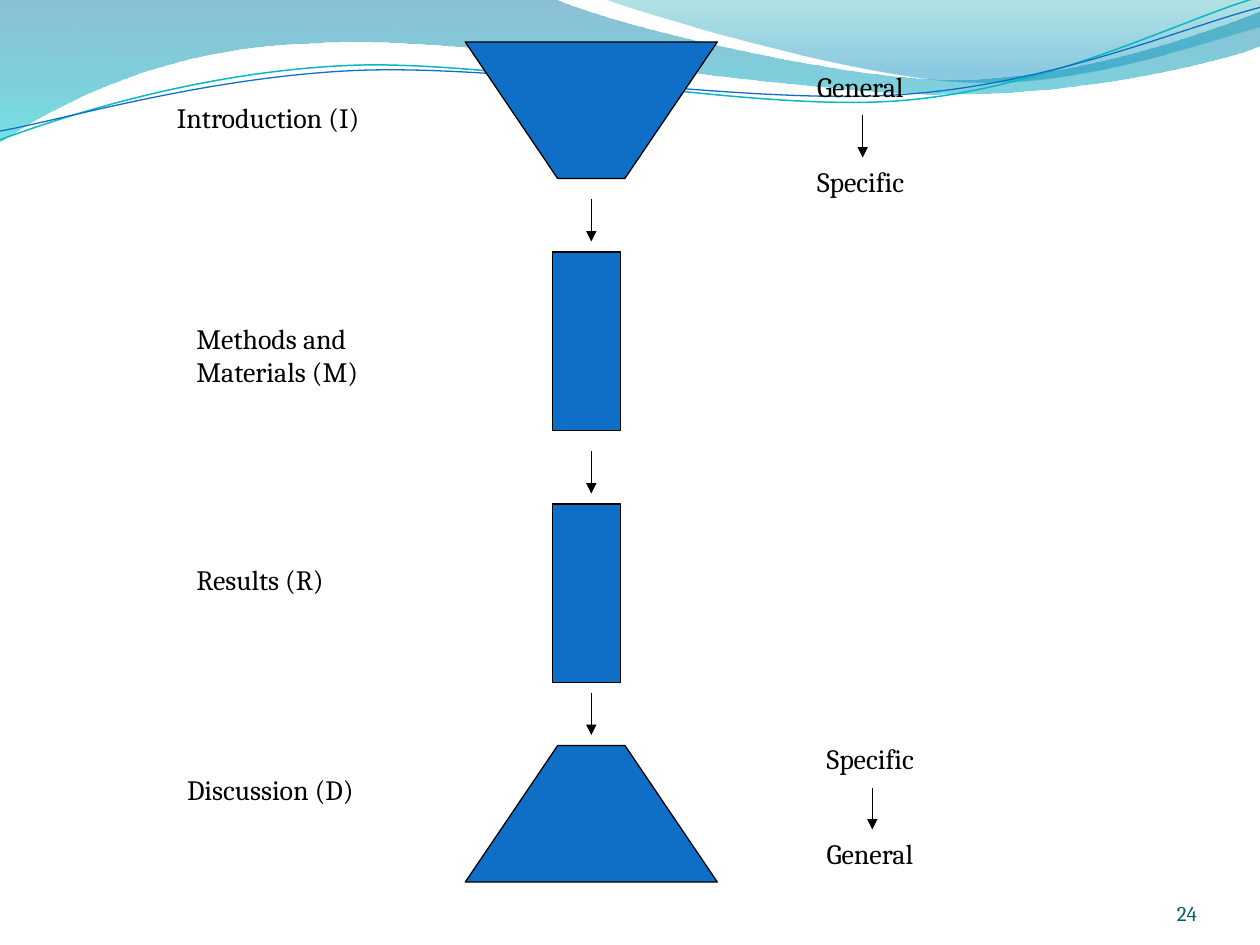
from dataclasses import dataclass
from math import cos, radians, sin

from lxml.etree import SubElement
from pptx import Presentation
from pptx.dml.color import RGBColor as RGB
from pptx.enum.shapes import MSO_CONNECTOR as Connector, MSO_SHAPE as Preset
from pptx.enum.text import MSO_ANCHOR as Anchor, PP_ALIGN as Align
from pptx.oxml.ns import qn
from pptx.util import Pt


@dataclass(frozen=True)
class Theme:
    font: str = "Cambria"
    body_size: float = 16
    number_size: float = 12
    ink: str = "000000"
    block: str = "0F6FC6"
    teal: str = "0AB8BF"
    number: str = "045D75"
    thin: float = 0.75
    wide_wave: tuple = ((0, "0074A1", 45), (1, "00C6CF", 55))
    corner_wave: tuple = ((0, "00A1A9", 30), (0.8, "008BBF", 45))


def write_text(frame, text, *, font, size, color, align=Align.LEFT, gap=0):
    frame.word_wrap = True
    for index, words in enumerate(text.split("\n")):
        paragraph = frame.paragraphs[0] if index == 0 else frame.add_paragraph()
        paragraph.text = words
        paragraph.alignment = align
        if index:
            paragraph.space_before = Pt(gap)
        paragraph.font.name = font
        paragraph.font.size = Pt(size)
        paragraph.font.color.rgb = RGB.from_string(color)


def turn(points, degrees):
    c, s = cos(radians(degrees)), sin(radians(degrees))
    return [(x * c - y * s, x * s + y * c) for x, y in points]


def unturn(points, degrees):
    """Give the points that land on these when their box is rotated about its centre."""
    level = turn(points, -degrees)
    center = tuple((min(axis) + max(axis)) / 2 for axis in zip(*level))
    (pivot_x, pivot_y), = turn([center], degrees)
    return [(x + pivot_x - center[0], y + pivot_y - center[1]) for x, y in level]


class SlideBuilder:
    def __init__(self, slide, theme):
        self.shapes = slide.shapes
        self.theme = theme

    def set_line(self, line, color, width):
        line.color.rgb = RGB.from_string(color)
        line.width = Pt(width)

    def outline(self, path, closed=True, rotation=0):
        """Draw parts of two numbers as straight lines and of six as cubic curves."""
        knots = [part[i:i + 2] for part in path for i in range(0, len(part), 2)]
        start, *rest = [(Pt(x), Pt(y)) for x, y in unturn(knots, rotation)]
        pen = self.shapes.build_freeform(*start, scale=1.0)
        pen.add_line_segments(rest, close=closed)
        figure = pen.convert_to_shape()
        figure.rotation = rotation
        figure.shadow.inherit = False
        segments = iter(list(figure.element.iter(qn("a:lnTo"))))
        for part in path[1:]:
            segment = next(segments)
            if len(part) == 6:
                curve = segment.makeelement(qn("a:cubicBezTo"))
                segment.addprevious(curve)
                for leg in (segment, next(segments), next(segments)):
                    curve.append(leg[0])
                    leg.getparent().remove(leg)
        return figure

    def wave(self, path, stops):
        band = self.outline(path)
        band.fill.gradient()
        band.fill.gradient_angle = 270
        for target, (position, color, _) in zip(band.fill.gradient_stops, stops):
            target.position = position
            target.color.rgb = RGB.from_string(color)
        colors = list(band.element.spPr.iter(qn("a:srgbClr")))
        for color, (_, _, opacity) in zip(colors, stops):
            SubElement(color, qn("a:alpha"), val=str(opacity * 1000))
        band.line.fill.background()

    def ripple(self, path, color, width):
        curve = self.outline(path, closed=False, rotation=357.3)
        curve.fill.background()
        self.set_line(curve.line, color, width)

    def paint_block(self, block):
        block.fill.solid()
        block.fill.fore_color.rgb = RGB.from_string(self.theme.block)
        self.set_line(block.line, self.theme.ink, self.theme.thin)

    def funnel(self, center, top, wide, narrow, height=78, rotation=0):
        bottom = top + height
        block = self.outline([
            (center - wide, top), (center - narrow, bottom),
            (center + narrow, bottom), (center + wide, top)])
        block.rotation = rotation
        self.paint_block(block)

    def column(self, left, top, width, height):
        block = self.shapes.add_shape(Preset.RECTANGLE, Pt(left), Pt(top), Pt(width), Pt(height))
        block.shadow.inherit = False
        self.paint_block(block)

    def arrow(self, x, top, length=24):
        link = self.shapes.add_connector(
            Connector.STRAIGHT, Pt(x), Pt(top), Pt(x), Pt(top + length))
        self.set_line(link.line, self.theme.ink, self.theme.thin)
        properties = link.element.spPr
        SubElement(properties.find(qn("a:ln")), qn("a:tailEnd"), type="triangle")
        SubElement(properties, qn("a:effectLst"))

    def label(self, text, left, top, width=127.5, height=26.5, gap=0):
        box = self.shapes.add_textbox(Pt(left), Pt(top), Pt(width), Pt(height))
        write_text(box.text_frame, text, font=self.theme.font,
                   size=self.theme.body_size, color=self.theme.ink, gap=gap)

    def scope(self, first, last, left, top):
        self.label(f"{first}\n{last}", left, top, width=78, height=84, gap=35.5)
        self.arrow(left + 33.2, top + 30)

    def page_number(self, number, left, top, width, height):
        frame = self.shapes.add_textbox(Pt(left), Pt(top), Pt(width), Pt(height)).text_frame
        frame.margin_left = frame.margin_right = frame.margin_top = frame.margin_bottom = 0
        frame.vertical_anchor = Anchor.BOTTOM
        write_text(frame, number, font=self.theme.font, size=self.theme.number_size,
                   color=self.theme.number, align=Align.RIGHT)


def main():
    deck = Presentation()
    deck.slide_width, deck.slide_height = Pt(720), Pt(540)
    theme = Theme()
    page = SlideBuilder(deck.slides.add_slide(deck.slide_layouts[6]), theme)

    page.wave([(0, 0), (316.8, -0.7), (342.7, 12.2, 478.1, 45.4, 545.8, 45.4),
               (614.2, 45.4, 689.8, 18.7, 720, 6.5), (720.7, 25.9),
               (709.2, 31.7, 626.4, 54.7, 537.1, 54), (447.8, 54, 275, 20.2, 185, 24.5),
               (92.9, 25.9, 33.1, 59.8, -0.7, 81.4)], theme.wide_wave)
    page.wave([(344.9, -0.7), (366.5, 7.9, 491, 44.6, 553.7, 46.8),
               (616.3, 49.7, 691.9, 23, 720, 15.1), (720, 0)], theme.corner_wave)
    page.ripple([(0, 79.9), (34.6, 67, 113.8, 41, 199.4, 37.4),
                 (284.4, 33.8, 427, 64.1, 513.4, 57.6),
                 (599.8, 51.1, 675.4, 10.8, 718.6, -1.4)], theme.teal, 0.85)
    page.ripple([(0, 74.9), (33.8, 69.1, 118.1, 43.9, 203.8, 40.3),
                 (290.2, 36.7, 429.1, 60.5, 516.2, 54),
                 (601.9, 48.2, 677.5, 15.1, 720, 4.3)], theme.block, theme.thin)

    center, wide, narrow = 337.9, 72, 19.2
    page.funnel(center, 24, wide, narrow)
    for top in (144, 288):
        page.column(315.8, top, 2 * narrow + 0.5, 102)
    page.funnel(center, 426, wide, narrow, rotation=180)
    for top in (114, 258, 396):
        page.arrow(center, top)

    for section, left, top, height in (("Introduction (I)", 94, 54, 26.5),
                                       ("Methods and Materials (M)", 105.2, 180, 46),
                                       ("Results (R)", 105.2, 318, 26.5),
                                       ("Discussion (D)", 99.8, 438, 26.5)):
        page.label(section, left, top, height=height)
    page.scope("General", "Specific", 459.8, 36)
    page.scope("Specific", "General", 465.3, 420)
    page.page_number("24", 624, 500.5, 60, 28.5)
    deck.save("out.pptx")


if __name__ == "__main__":
    main()
